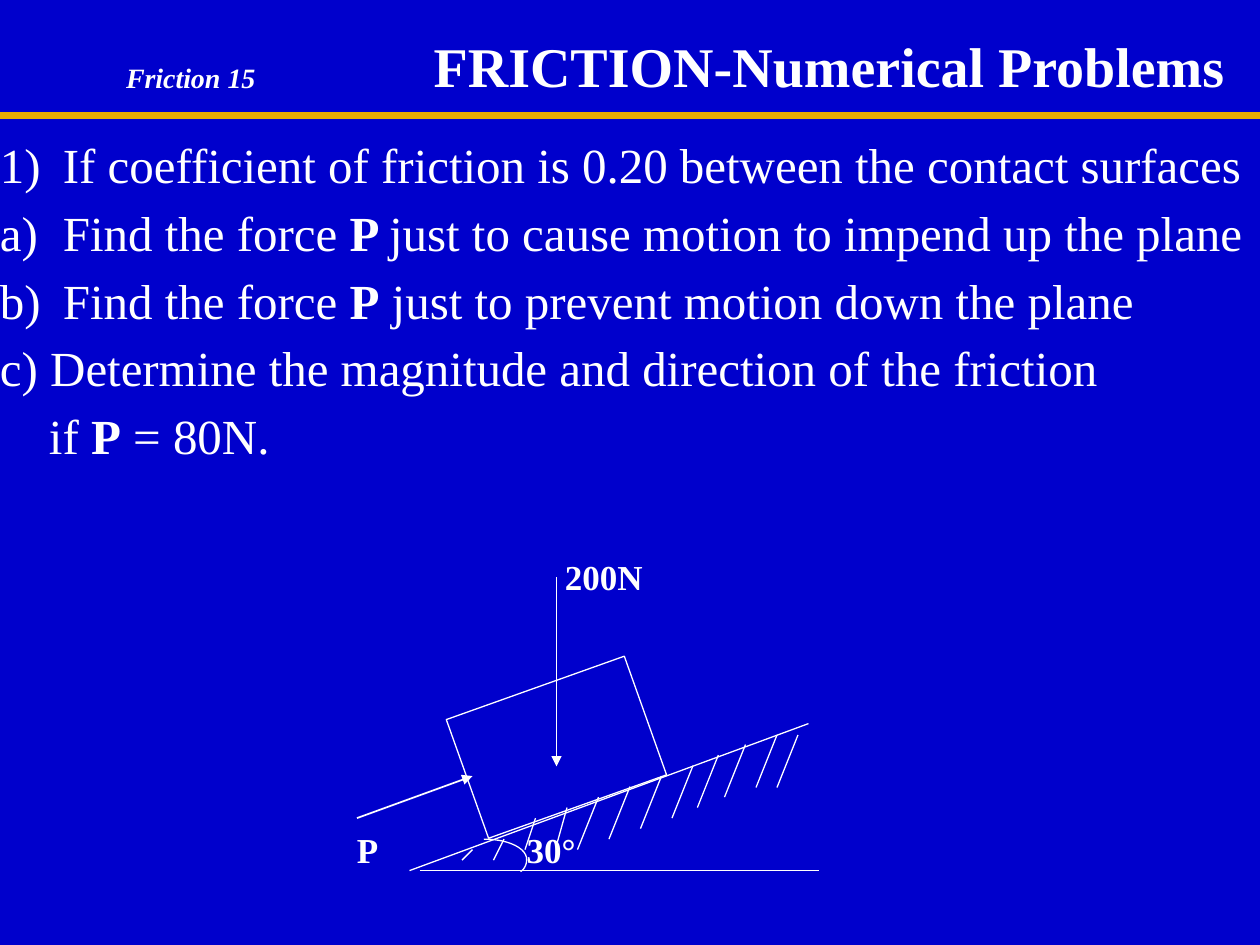
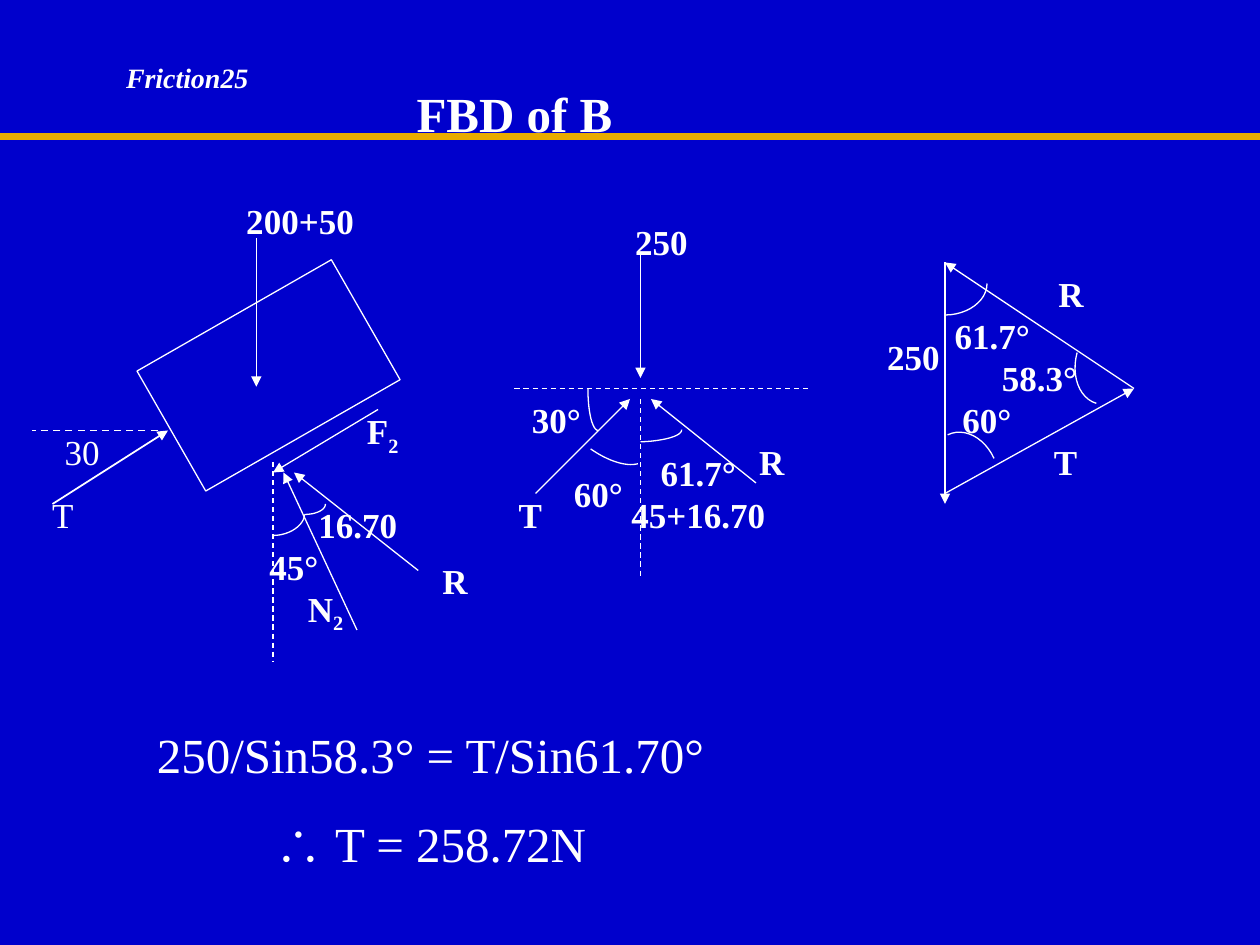
from lxml.etree import SubElement as Sub
from pptx import Presentation
from pptx.dml.color import RGBColor as RGB
from pptx.enum.dml import MSO_LINE as Dash
from pptx.enum.shapes import MSO_CONNECTOR as Conn, MSO_SHAPE as Form
from pptx.enum.text import MSO_ANCHOR as Anchor, MSO_AUTO_SIZE as Auto, PP_ALIGN as Align
from pptx.oxml.ns import qn
from pptx.util import Pt

BLUE, GOLD, WHITE = "0000CC", "E8AB00", "FFFFFF"
FACE, SIGN = "Times New Roman", "Arial"

# Kind of stroke: width, dashed, arrowhead
STROKES = {
    "plain": (0.75, False, False),
    "arrow": (0.75, False, True),
    "push": (1, False, True),
    "dash": (0.75, True, False),
    "level": (1, True, False),
}

TASKS = [
    ("If coefficient of friction is 0.20 between the contact surfaces", "arabicParenR", 36),
    ("Find the force* P *just to cause motion to impend up the plane", "alphaLcParenR", 36),
    ("Find the force *P* just to prevent motion down the plane", "alphaLcParenR", 36),
    ("c) Determine the magnitude and direction of the friction", None, 0),
    ("if *P* = 80N.", None, 28),
]

# Hatch marks under the plane: stroke offset, then the upper ends
HATCH = {
    (-12, 30): [(456, 420), (444, 420), (426, 425.5), (410.5, 431.5), (396, 437.5),
                (378, 443.5), (360, 449.5), (342, 455.5)],
    (-6, 21.5): [(324, 461.5)],
    (-6, 18): [(306, 467.5)],
    (-6, 12): [(288, 479.5)],
    (-6, 6): [(270, 485.5)],
}

PLANE = {
    "title": ("FRICTION-Numerical Problems", 32, (228, 18, 492, 38)),
    "tag": "Friction 15",
    "band": 66,
    "block": (264, 391, 108, 72, 340.4),
    "lines": {
        "plain": [(462, 413.5, 234, 497.5), (240, 497.5, 468, 497.5)]
        + [(x, y, x + dx, y + dy) for (dx, dy), tops in HATCH.items() for x, y in tops],
        "arrow": [(318, 330, 318, 438)],
        "push": [(204, 467.5, 270, 443.5)],
    },
    "arcs": [[(276.5, 479.5), (291, 479.5), (301.5, 485), (301, 491.5),
              (301, 494), (299.5, 497), (297.5, 498)]],
    "labels": [("P", 198, 473.5, 24), ("200N", 300, 317.5, 90), ("30°", 300, 473.5, 30)],
    "light": [],
}

BODY = {
    "title": ("FBD of B", 28, (192, 48, 204, 34)),
    "tag": "Friction25",
    "band": 78,
    "block": (89.5, 175, 128, 79, 330.2),
    "lines": {
        "arrow": [(146.5, 136, 146.5, 221), (239, 326, 168, 270), (216, 234, 156, 270),
                  (204, 360, 162, 270), (366, 144, 366, 216), (306, 282, 360, 228),
                  (432, 276, 372, 228), (540, 150, 540, 288), (540, 282, 648, 222),
                  (648, 222, 540, 150)],
        "dash": [(156, 264, 156, 378), (294, 222, 462, 222), (366, 228, 366, 330)],
        "level": [(90, 246, 18, 246)],
        "push": [(30, 288, 96, 246)],
    },
    "arcs": [
        [(174, 294), (180.5, 294), (186, 291.5), (186, 288)],
        [(156, 306), (165.5, 306), (174, 300), (174, 294)],
        [(342, 246), (338.5, 246), (336, 235.5), (336, 222)],
        [(364.5, 265), (357, 267), (346, 262.5), (337.5, 256.5)],
        [(389.5, 245.5), (390, 249), (379.5, 252), (366, 252.5)],
        [(540, 180), (553, 180), (564, 172), (564, 162)],
        [(568, 262), (562.5, 250), (551, 244), (541.5, 248.5)],
        [(615.5, 201.5), (612, 214.5), (616.5, 227.5), (626.5, 230.5)],
    ],
    "labels": [
        ("F|2", 192, 234, 53.5), ("R", 231.5, 319.5, 57), ("200+50", 138.5, 114, 66),
        ("16.70", 180.5, 287.5, 48), ("45°", 150, 311.5, 36), ("N|2", 174, 335.5, 24),
        ("250", 354, 126, 48), ("R", 432, 251.5, 18), ("T", 294, 282, 18),
        ("30°", 300, 227.5, 36), ("60°", 324, 270, 36), ("61.7°\n45+16.70", 354, 258, 90),
        ("61.7°", 537, 179.5, 60), ("60°", 546, 227.5, 36), ("58.3°", 564, 203.5, 60),
        ("250", 504, 191.5, 36), ("R", 594, 155.5, 36), ("T", 588, 251.5, 42),
    ],
    "light": [("T", 0, 282, 72), ("30", 18, 246, 58)],
}

SUMS = "250/Sin58.3° = T/Sin61.70°\n∴* T = 258.72N"


def hue(code):
    """Turn a hex string into a colour."""
    return RGB.from_string(code)


def write(frame, text, size, bold=False, italic=False, align=Align.CENTER):
    """Fill a frame; * switches weight and | starts a subscript."""
    frame.margin_left = frame.margin_right = frame.margin_top = frame.margin_bottom = 0
    frame.word_wrap, frame.auto_size = True, Auto.NONE
    frame.vertical_anchor = Anchor.TOP
    for num, row in enumerate(text.split("\n")):
        para = frame.add_paragraph() if num else frame.paragraphs[0]
        para.alignment = align
        for odd, part in enumerate(row.split("*")):
            for low, bit in enumerate(part.split("|")):
                run = para.add_run()
                run.text, font = bit, run.font
                font.name = SIGN if bit == "∴" else FACE
                font.size, font.italic = Pt(size), italic
                font.bold = bold or (odd % 2 == 1 and not row.startswith("∴"))
                font.color.rgb = hue(WHITE)
                if low:
                    font._element.set("baseline", "-25000")
    return frame.paragraphs


def box(slide, x, y, w, h, *args, **opts):
    """Add a text box and write in it."""
    shape = slide.shapes.add_textbox(Pt(x), Pt(y), Pt(w), Pt(h))
    return write(shape.text_frame, *args, **opts)


def stroke(slide, ends, width=0.75, dashed=False, head=False, code=WHITE):
    """Draw a straight line, dashed or with an arrowhead if asked."""
    line = slide.shapes.add_connector(Conn.STRAIGHT, *map(Pt, ends))
    line.line.color.rgb, line.line.width = hue(code), Pt(width)
    if dashed:
        line.line.dash_style = Dash.DASH
    props = line._element.spPr
    if head:
        Sub(props.find(qn("a:ln")), qn("a:tailEnd"), type="triangle")
    Sub(props, qn("a:effectLst"))


def hollow(shape):
    """Leave only a thin white outline."""
    shape.shadow.inherit = False
    shape.fill.background()
    shape.line.color.rgb, shape.line.width = hue(WHITE), Pt(0.75)


def curve(slide, knots, steps=12):
    """Draw a chain of cubic curves as an open outline."""
    dots = []
    for i in range(0, len(knots) - 1, 3):
        for t in (n / steps for n in range(steps + 1)):
            u = 1 - t
            mix = (u ** 3, 3 * u * u * t, 3 * u * t * t, t ** 3)
            dots.append(tuple(Pt(sum(m * k[d] for m, k in zip(mix, knots[i:i + 4])))
                              for d in (0, 1)))
    pen = slide.shapes.build_freeform(*dots[0])
    pen.add_line_segments(dots[1:], close=False)
    hollow(pen.convert_to_shape())


def build(prs, data):
    """Add a slide with its heading, band and diagram."""
    slide = prs.slides.add_slide(prs.slide_layouts[5])
    stroke(slide, (0, data["band"], 720, data["band"]), 4.5, code=GOLD)
    text, size, area = data["title"]
    title = slide.shapes.title
    title.left, title.top, title.width, title.height = map(Pt, area)
    write(title.text_frame, text, size, bold=True)
    box(slide, 72, 34.5, 120, 20, data["tag"], 16, bold=True, italic=True, align=Align.LEFT)
    *area, turn = data["block"]
    block = slide.shapes.add_shape(Form.RECTANGLE, *map(Pt, area))
    block.rotation = turn
    hollow(block)
    for kind, rows in data["lines"].items():
        for ends in rows:
            stroke(slide, ends, *STROKES[kind])
    for knots in data["arcs"]:
        curve(slide, knots)
    for group, bold in (("labels", True), ("light", False)):
        for text, x, y, w in data[group]:
            box(slide, x, y, w, 24 * len(text.split("\n")), text, 20, bold=bold)
    return slide


def tasks(slide):
    """Write the numbered tasks."""
    text = "\n".join(row[0] for row in TASKS)
    paras = box(slide, 0, 72, 720, 193, text, 28, align=Align.LEFT)
    for para, (_, style, left) in zip(paras, TASKS):
        para.line_spacing = 1.15
        props = para._p.get_or_add_pPr()
        props.set("marL", str(Pt(left)))
        props.set("indent", str(Pt(-left if style else 0)))
        if style:
            Sub(Sub(props, qn("a:buClr")), qn("a:srgbClr"), val=WHITE)
            Sub(props, qn("a:buAutoNum"), type=style)


def main():
    """Build both slides and save them."""
    prs = Presentation()
    prs.slide_width, prs.slide_height = Pt(720), Pt(540)
    back = prs.slide_master.background.fill
    back.solid()
    back.fore_color.rgb = hue(BLUE)
    tasks(build(prs, PLANE))
    sums = box(build(prs, BODY), 48, 414, 396, 85, SUMS, 28)
    sums[1].space_before = Pt(17.5)
    prs.save("out.pptx")


if __name__ == "__main__":
    main()
